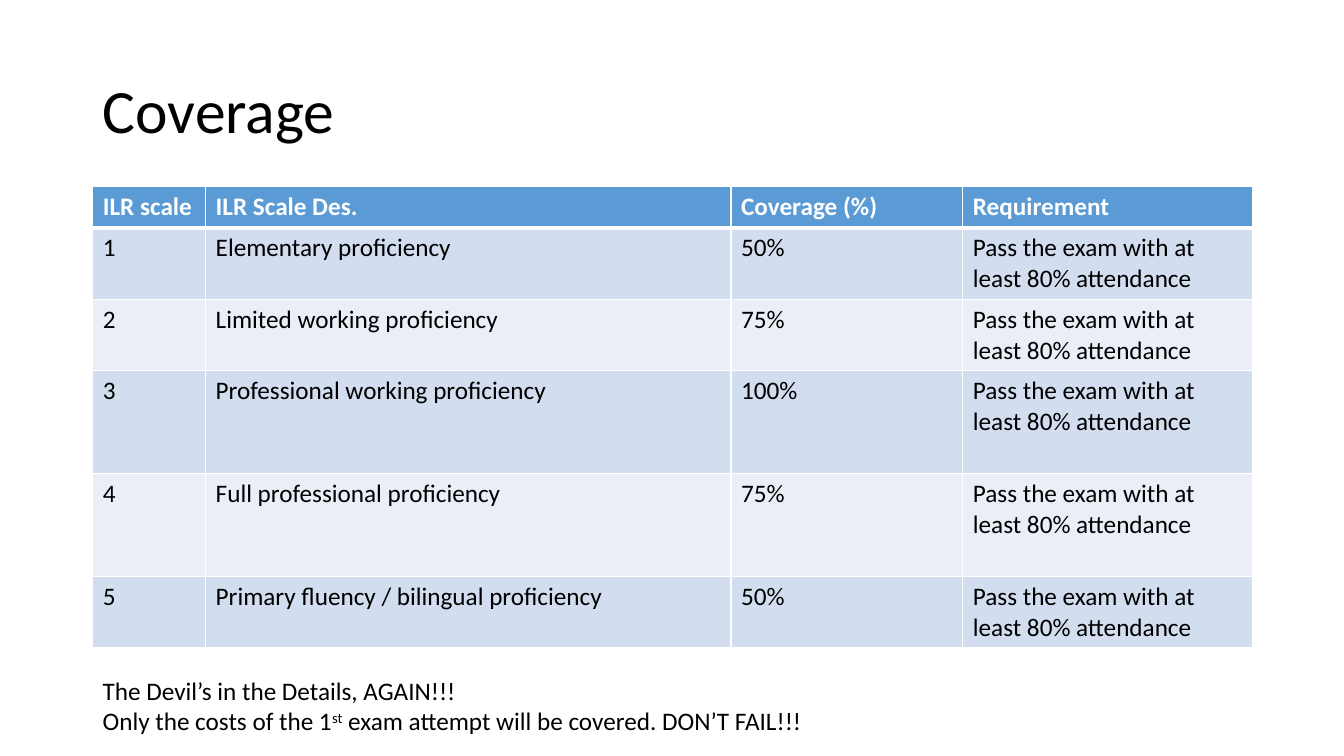
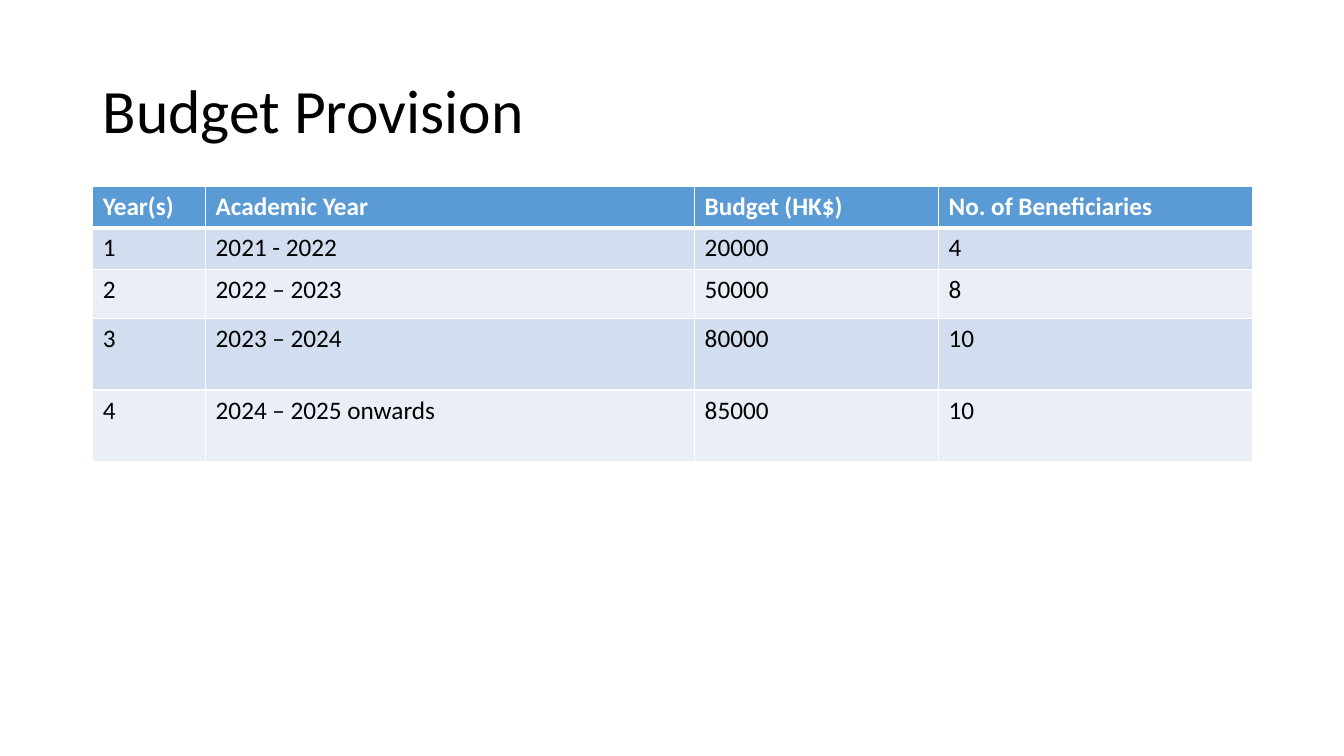
from pptx import Presentation, util as u
from pptx.dml.color import RGBColor
from pptx.enum import text
from pptx.oxml import parse_xml
from pptx.oxml.ns import nsdecls

FONT = "Calibri"
BLACK, WHITE = "000000", "FFFFFF"
HEAD, BANDS = "5B9BD5", ("D2DEEF", "EAEFF7")
LEFT, WIDTH = 0.92, 11.5


def paint(hue):
    """Turn a hex string into a colour."""
    return RGBColor.from_string(hue)


def edge(cell, side, size):
    """Draw one white border of a cell, size in points."""
    cell._tc.get_or_add_tcPr().append(parse_xml(
        f'<a:ln{side} {nsdecls("a")} w="{u.Pt(size)}"><a:solidFill>'
        f'<a:srgbClr val="{WHITE}"/></a:solidFill></a:ln{side}>'))


class Deck:
    """Holds the shared style and the current slide."""

    def __init__(self):
        """Start an empty wide deck."""
        self.prs = Presentation()
        self.prs.slide_width = u.Inches(13.33)
        self.prs.slide_height = u.Inches(7.5)

    def style(self, para, size=18, hue=BLACK, bold=False):
        """Format every run of a paragraph."""
        for run in para.runs:
            font = run.font
            font.name, font.size, font.bold = FONT, u.Pt(size), bold
            font.color.rgb = paint(hue)

    def box(self, top, width, height):
        """Add a text box at the left margin and return its frame."""
        area = [u.Inches(n) for n in (LEFT, top, width, height)]
        return self.slide.shapes.add_textbox(*area).text_frame

    def page(self, title):
        """Add a slide with its title."""
        self.slide = self.prs.slides.add_slide(self.prs.slide_layouts[6])
        frame = self.box(0.4, WIDTH, 1.45)
        frame.word_wrap = True
        frame.vertical_anchor = text.MSO_ANCHOR.MIDDLE
        para = frame.paragraphs[0]
        para.text, para.line_spacing = title, 0.9
        self.style(para, 44)

    def table(self, cols, highs, rows):
        """Add a banded table; the first row is its header."""
        area = [u.Inches(n) for n in (LEFT, 1.85, WIDTH, sum(highs))]
        grid = self.slide.shapes.add_table(len(rows), len(cols), *area).table
        for col, wide in zip(grid.columns, cols):
            col.width = u.Inches(wide)
        for row, high in zip(grid.rows, highs):
            row.height = u.Inches(high)
        for i, row in enumerate(rows):
            for j, word in enumerate(row):
                self.cell(grid.cell(i, j), i, word)

    def cell(self, cell, row, word):
        """Fill one table cell, styled by its row number."""
        top = row == 0
        sizes = {"L": 1, "R": 1, "T": 3 if row == 1 else 1, "B": 3 if top else 1}
        for side, size in sizes.items():
            edge(cell, side, size)
        cell.fill.solid()
        cell.fill.fore_color.rgb = paint(HEAD if top else BANDS[(row - 1) % 2])
        cell.text_frame.text = word
        self.style(cell.text_frame.paragraphs[0], hue=WHITE if top else BLACK, bold=top)

    def note(self, first, parts):
        """Add a two-line note; the middle part of line two is raised."""
        frame = self.box(6.65, 7.44, 0.71)
        frame.word_wrap = False
        frame.auto_size = text.MSO_AUTO_SIZE.SHAPE_TO_FIT_TEXT
        frame.text = first
        last = frame.add_paragraph()
        for part in parts:
            last.add_run().text = part
        for para in frame.paragraphs:
            self.style(para)
        last.runs[1]._r.get_or_add_rPr().set("baseline", "30000")


deck = Deck()

deck.page("Coverage")
levels = [
    ("Elementary proficiency", "50%"),
    ("Limited working proficiency", "75%"),
    ("Professional working proficiency", "100%"),
    ("Full professional proficiency", "75%"),
    ("Primary fluency / bilingual proficiency", "50%"),
]
rule = "Pass the exam with at least 80% attendance"
deck.table(
    (1.12, 5.21, 2.3, 2.87), (0.41, 0.71, 0.71, 1.02, 1.02, 0.71),
    [("ILR scale", "ILR Scale Des.", "Coverage (%)", "Requirement")]
    + [(str(n), *level, rule) for n, level in enumerate(levels, 1)])
deck.note("The Devil’s in the Details, AGAIN!!!",
          ("Only the costs of the 1", "st",
           " exam attempt will be covered. DON’T FAIL!!!"))

deck.page("Budget Provision")
years = [
    ("2021 - 2022", "20000", "4"),
    ("2022 – 2023", "50000", "8"),
    ("2023 – 2024", "80000", "10"),
    ("2024 – 2025 onwards", "85000", "10"),
]
deck.table(
    (1.12, 4.85, 2.42, 3.11), (0.41, 0.41, 0.49, 0.71, 0.71),
    [("Year(s)", "Academic Year", "Budget (HK$)", "No. of Beneficiaries")]
    + [(str(n), *year) for n, year in enumerate(years, 1)])

deck.prs.save("out.pptx")
